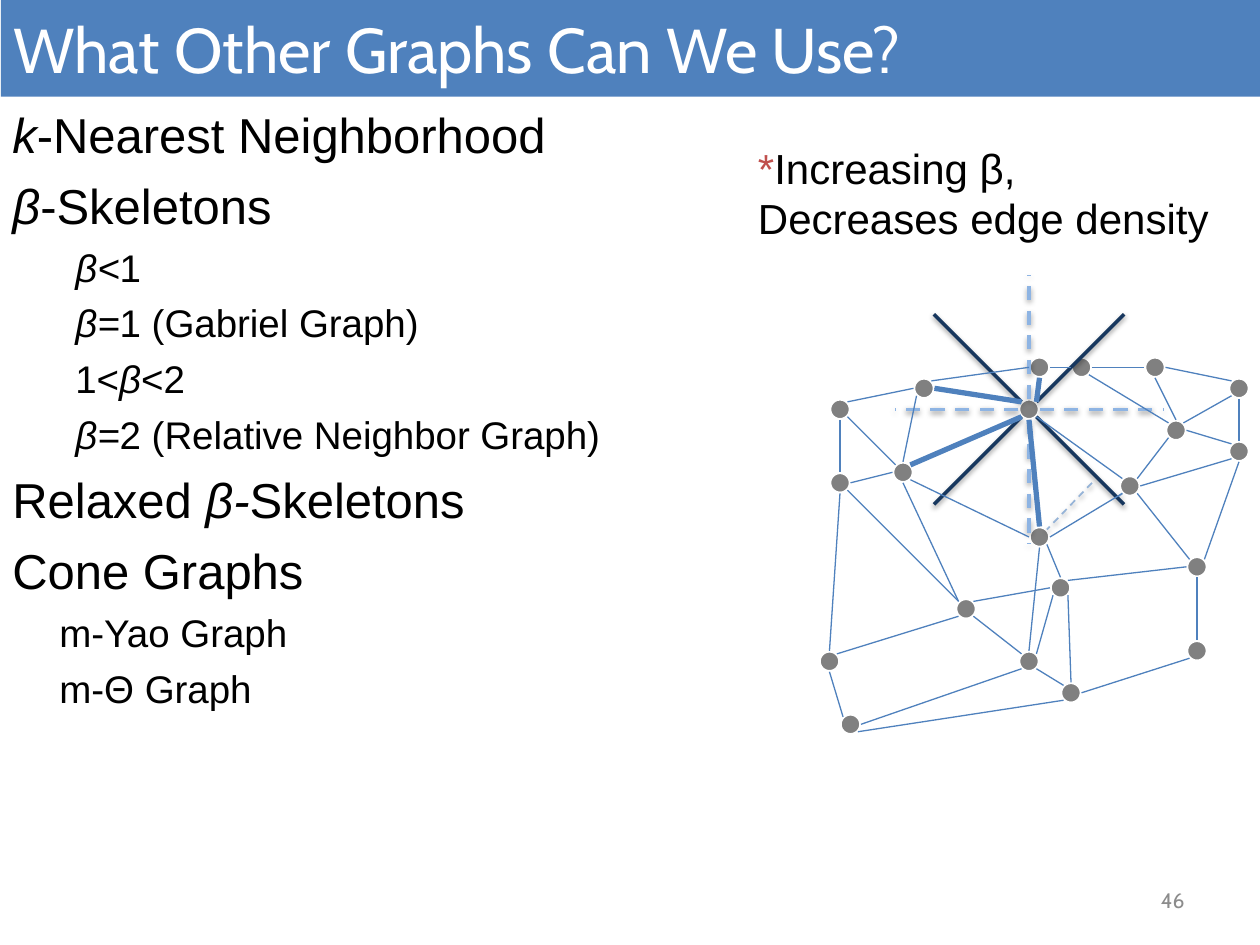
import math
from dataclasses import dataclass

from lxml import etree
from pptx import Presentation
from pptx import util as u
from pptx.dml.color import RGBColor
from pptx.enum import dml, shapes, text
from pptx.oxml import ns


@dataclass(frozen=True)
class Theme:
    blue: str = "4F81BD"
    light_blue: str = "8EB4E3"
    pale_blue: str = "95B3D7"
    navy: str = "17375E"
    red: str = "C0504D"
    grey: str = "808080"
    number_grey: str = "8C8C8C"
    black: str = "000000"
    white: str = "FFFFFF"
    body_font: str = "Arial"
    title_font: str = "Cabin"
    title_size: float = 36.1
    topic_size: float = 28
    note_size: float = 24
    detail_size: float = 22
    number_size: float = 12


THEME = Theme()

# Topics: text (italic between asterisks), size, left margin and first-line indent in cm
HANGING = (0.95, -0.95)
NESTED = (2.22, -0.95)
INDENTED = (0.95, 0)
TOPICS = [
    ("*k*-Nearest Neighborhood", THEME.topic_size, HANGING),
    ("*β*-Skeletons", THEME.topic_size, HANGING),
    ("*β<*1", THEME.detail_size, NESTED),
    ("*β=*1 (Gabriel Graph)", THEME.detail_size, NESTED),
    ("1<*β*<2", THEME.detail_size, NESTED),
    ("*β=*2 (Relative Neighbor Graph)", THEME.detail_size, NESTED),
    ("Relaxed *β-*Skeletons", THEME.topic_size, HANGING),
    ("Cone Graphs", THEME.topic_size, HANGING),
    ("m-Yao Graph", THEME.detail_size, INDENTED),
    ("m-Θ Graph", THEME.detail_size, INDENTED),
]

# Graph: node centres in grid units, and edges that join compass points of nodes
GRID = 2.54 / 12
NODES = {
    "a": (36, 28), "b": (23, 30), "c": (14, 32), "d": (24, 40), "e": (36, 36),
    "f": (2, 13), "g": (10, 11), "h": (21, 9), "i": (25, 9), "j": (40, 11),
    "k": (34, 15), "l": (8, 19), "m": (21, 25.16), "n": (29.6, 20.3),
    "o": (20, 13), "p": (32, 9), "q": (20, 37), "r": (2, 20), "s": (1, 37),
    "t": (3, 43), "u": (40, 17),
}
COMPASS = ["E", "SE", "S", "SW", "W", "NW", "N", "NE"]
CONE_EDGES = ["g.E o.NW", "o.NE h.S", "o.S m.N", "o.SW l.NE"]
EDGES = CONE_EDGES + [
    "n.SW m.E", "m.SE b.N", "m.S q.N", "g.NE h.W", "g.W f.NE", "f.S r.N",
    "l.W r.E", "c.NW r.SE", "s.N r.S", "l.NW f.SE", "g.SW l.N", "m.W l.SE",
    "h.E i.W", "i.E p.W", "i.SE k.NW", "p.S k.N", "p.E j.NW", "u.N j.S",
    "k.E u.NW", "u.SW n.E", "k.NE j.SW", "k.SW n.NE", "n.NW o.SE", "a.NW n.SE",
    "u.S a.NE", "a.S e.N", "a.W b.NE", "d.N b.SE", "q.NE b.SW", "e.SW d.E",
    "d.NW q.SE", "d.SW t.SE", "s.S t.NW", "c.SW s.NE", "q.NW c.SE", "b.W c.NE",
    "l.S c.NW", "q.SW t.E",
]


def style_run(run, size, color, font=THEME.body_font, italic=False):
    run.font.size = u.Pt(size)
    run.font.name = font
    run.font.italic = italic
    run.font.color.rgb = RGBColor.from_string(color)


def add_text_box(slide, box):
    frame = slide.shapes.add_textbox(*map(u.Cm, box)).text_frame
    frame.word_wrap = True
    return frame


def add_line(parent, start, end, color, width, dashed=False, shadow=False):
    line = parent.add_connector(
        shapes.MSO_CONNECTOR.STRAIGHT, *map(u.Cm, (*start, *end)))
    line.line.color.rgb = RGBColor.from_string(color)
    line.line.width = u.Pt(width)
    if dashed:
        line.line.dash_style = dml.MSO_LINE.DASH
    properties = line._element.spPr
    effects = etree.SubElement(properties, ns.qn("a:effectLst"))
    if shadow:
        outer = etree.SubElement(
            effects, ns.qn("a:outerShdw"), blurRad=str(u.Pt(3.1)),
            dist=str(u.Pt(1.6)), dir="5400000", rotWithShape="0")
        tint = etree.SubElement(outer, ns.qn("a:srgbClr"), val=THEME.black)
        etree.SubElement(tint, ns.qn("a:alpha"), val="38000")


def add_title(slide, box):
    bar = slide.shapes.add_shape(shapes.MSO_SHAPE.RECTANGLE, *map(u.Cm, box))
    bar.shadow.inherit = False
    bar.fill.solid()
    bar.fill.fore_color.rgb = RGBColor.from_string(THEME.blue)
    bar.line.fill.background()
    frame = bar.text_frame
    frame.text = "What Other Graphs Can We Use?"
    frame.vertical_anchor = text.MSO_ANCHOR.MIDDLE
    paragraph = frame.paragraphs[0]
    paragraph.alignment = text.PP_ALIGN.LEFT
    style_run(paragraph.runs[0], THEME.title_size, THEME.white, THEME.title_font)


def add_topics(slide, box):
    frame = add_text_box(slide, box)
    frame.margin_top = u.Cm(0.2)
    for index, (content, size, (margin, indent)) in enumerate(TOPICS):
        paragraph = frame.add_paragraph() if index else frame.paragraphs[0]
        properties = paragraph._p.get_or_add_pPr()
        properties.set("marL", str(u.Cm(margin)))
        properties.set("indent", str(u.Cm(indent)))
        if index:
            paragraph.space_before = u.Pt(size / 4)
        for part_index, part in enumerate(content.split("*")):
            if part:
                run = paragraph.add_run()
                run.text = part
                style_run(run, size, THEME.black, italic=part_index % 2 == 1)


def add_note(slide, box):
    frame = add_text_box(slide, box)
    frame.word_wrap = False
    frame.text = "*\nDecreases edge density"
    first, second = frame.paragraphs
    first.add_run().text = "Increasing β,"
    for run in first.runs + second.runs:
        style_run(run, THEME.note_size, THEME.black)
    first.runs[0].font.color.rgb = RGBColor.from_string(THEME.red)


def add_graph(slide, box):
    left, top = box[:2]

    def place(x, y):
        return left + x * GRID, top + y * GRID

    def toward(node, direction, distance=1):
        angle = math.radians(45 * COMPASS.index(direction))
        x, y = NODES[node]
        return place(x + distance * math.cos(angle), y + distance * math.sin(angle))

    def ends(edge):
        return [toward(*end.split(".")) for end in edge.split()]

    # Nodes
    for x, y in NODES.values():
        node = slide.shapes.add_shape(
            shapes.MSO_SHAPE.OVAL,
            *map(u.Cm, (*place(x - 1, y - 1), 2 * GRID, 2 * GRID)))
        node.shadow.inherit = False
        node.fill.solid()
        node.fill.fore_color.rgb = RGBColor.from_string(THEME.grey)
        node.line.color.rgb = RGBColor.from_string(THEME.white)
        node.line.width = u.Pt(2)

    # Cone boundaries around the central node
    for direction in ["N", "E", "W", "S", "NE", "NW", "SE", "SW"]:
        straight = len(direction) == 1
        add_line(slide.shapes, toward("o", direction), toward("o", direction, 12.8),
                 THEME.light_blue if straight else THEME.navy, 2, straight, True)

    # Edges chosen by the cones, and the rejected edge
    for edge in CONE_EDGES:
        add_line(slide.shapes, *ends(edge), THEME.blue, 3)
    for start, end in [(toward("n", "SW"), place(28.56, 21.28)),
                       (place(26, 20), toward("m", "NE"))]:
        add_line(slide.shapes, start, end, THEME.pale_blue, 1, True, True)

    # All edges
    group = slide.shapes.add_group_shape()
    for edge in EDGES:
        add_line(group.shapes, *ends(edge), THEME.blue, 0.75)


def add_slide_number(slide, box):
    frame = add_text_box(slide, box)
    frame.text = "46"
    frame.vertical_anchor = text.MSO_ANCHOR.MIDDLE
    paragraph = frame.paragraphs[0]
    paragraph.alignment = text.PP_ALIGN.RIGHT
    style_run(paragraph.runs[0], THEME.number_size, THEME.number_grey, THEME.title_font)


def main():
    presentation = Presentation()
    presentation.slide_width, presentation.slide_height = u.Cm(25.4), u.Cm(19.05)
    slide = presentation.slides.add_slide(presentation.slide_layouts[6])
    add_topics(slide, (0, 1.9, 25.4, 12.52))
    add_note(slide, (15.03, 2.75, 9.7, 2.31))
    add_title(slide, (0.02, 0, 25.4, 1.95))
    add_graph(slide, (16.51, 5.5, 8.68, 9.31))
    add_slide_number(slide, (18.2, 17.65, 5.93, 1.01))
    presentation.save("out.pptx")


if __name__ == "__main__":
    main()
